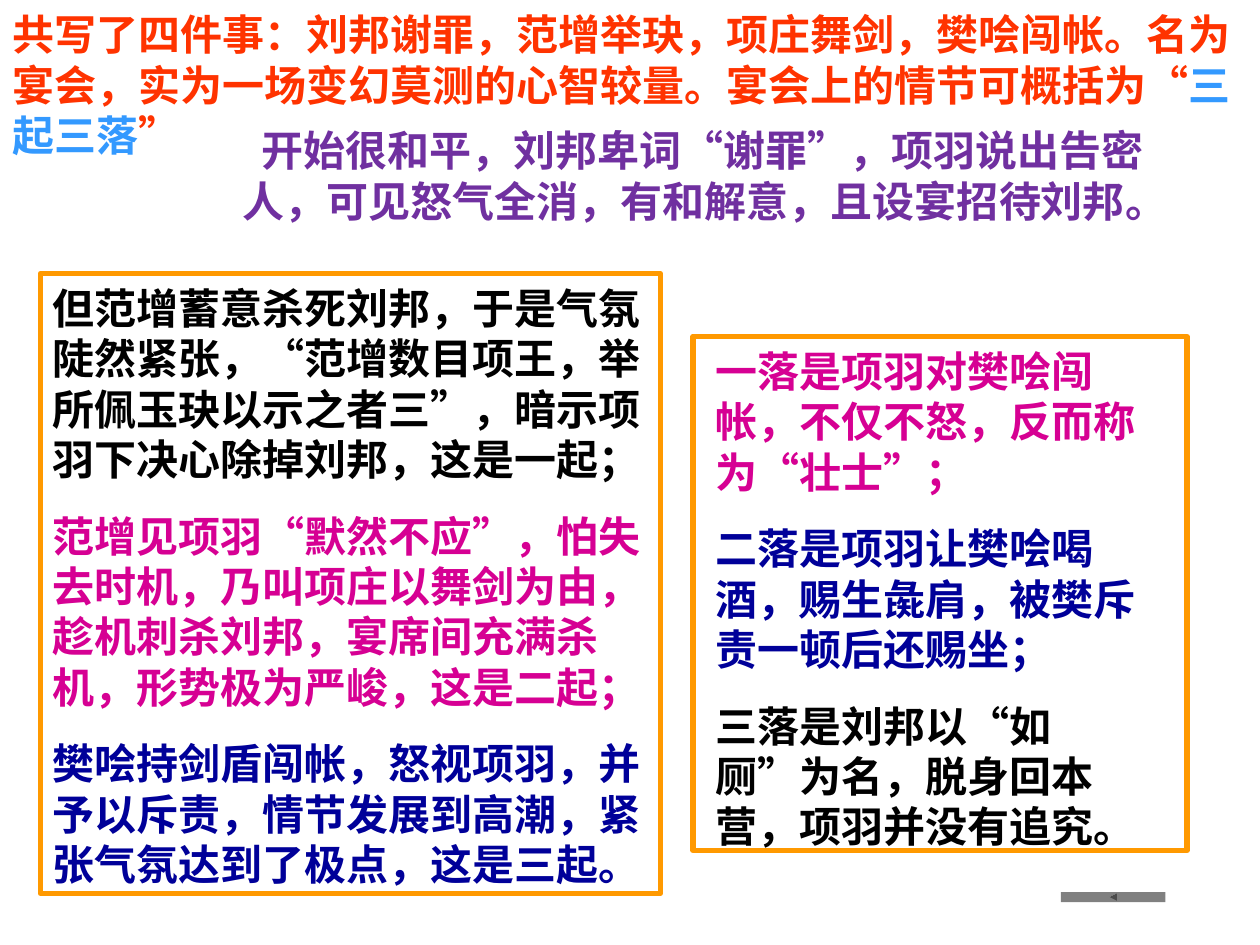
from dataclasses import dataclass
from itertools import groupby

from lxml import etree
from pptx import Presentation
from pptx import util as u
from pptx.dml.color import RGBColor
from pptx.enum import shapes, text
from pptx.oxml import ns


@dataclass(frozen=True)
class Theme:
    red: str = "FF3300"
    sky: str = "3399FF"
    purple: str = "7030A0"
    black: str = "000000"
    pink: str = "D60093"
    navy: str = "000099"
    orange: str = "FF9900"
    grey: str = "808080"
    han_font: str = "Noto Sans CJK SC"
    quote_font: str = "Times New Roman"
    size: u.Pt = u.Pt(24)
    leading: u.Pt = u.Pt(28.8)
    gap: u.Pt = u.Pt(15)
    frame: u.Pt = u.Pt(3)


THEME = Theme()
QUOTES = "“”"

SUMMARY = [[
    ("共写了四件事：刘邦谢罪，范增举玦，项庄舞剑，樊哙闯帐。名为宴会，"
     "实为一场变幻莫测的心智较量。宴会上的情节可概括为“", THEME.red),
    ("三起三落", THEME.sky),
    ("”", THEME.red),
]]
OPENING = [[("开始很和平，刘邦卑词“谢罪”，项羽说出告密人，可见怒气全消，"
             "有和解意，且设宴招待刘邦。", THEME.purple)]]
RISES = [
    [("但范增蓄意杀死刘邦，于是气氛陡然紧张，“范增数目项王，举所佩玉玦以示之者三”，"
      "暗示项羽下决心除掉刘邦，这是一起；", THEME.black)],
    [("范增见项羽“默然不应”，怕失去时机，乃叫项庄以舞剑为由，趁机刺杀刘邦，"
      "宴席间充满杀机，形势极为严峻，这是二起；", THEME.pink)],
    [("樊哙持剑盾闯帐，怒视项羽，并予以斥责，情节发展到高潮，"
      "紧张气氛达到了极点，这是三起。", THEME.navy)],
]
FALLS = [
    [("一落是项羽对樊哙闯帐，不仅不怒，反而称为“壮士”；", THEME.pink)],
    [("二落是项羽让樊哙喝酒，赐生彘肩，被樊斥责一顿后还赐坐；", THEME.navy)],
    [("三落是刘邦以“如厕”为名，脱身回本营，项羽并没有追究。", THEME.black)],
]


def inches(*values):
    return [u.Inches(value) for value in values]


def add_run(paragraph, words, colour, is_quote):
    run = paragraph.add_run()
    run.text = words
    font = run.font
    font.size, font.bold = THEME.size, True
    font.color.rgb = RGBColor.from_string(colour)
    font.name = THEME.quote_font if is_quote else THEME.han_font
    east_asian = etree.SubElement(font._element, ns.qn("a:ea"))
    east_asian.set("typeface", THEME.han_font)


def write_passage(holder, box, paragraphs, indent=0):
    """Place a text holder in its box and fill it with coloured paragraphs."""
    holder.left, holder.top, holder.width, holder.height = inches(*box)
    frame = holder.text_frame
    frame.word_wrap = True
    frame.auto_size = text.MSO_AUTO_SIZE.NONE
    frame.vertical_anchor = text.MSO_ANCHOR.TOP
    frame.margin_left = frame.margin_right = u.Inches(0.1)
    frame.margin_top, frame.margin_bottom = inches(0.07, 0.05)
    for index, parts in enumerate(paragraphs):
        paragraph = frame.add_paragraph() if index else frame.paragraphs[0]
        paragraph.alignment = text.PP_ALIGN.LEFT
        paragraph.line_spacing = THEME.leading
        paragraph.space_before = THEME.gap if index else u.Pt(0)
        paragraph.space_after = u.Pt(0)
        properties = paragraph._p.get_or_add_pPr()
        properties.set("marL", "0")
        properties.set("indent", str(u.Inches(indent)))
        properties.set("hangingPunct", "0")
        etree.SubElement(properties, ns.qn("a:buNone"))
        for words, colour in parts:
            for is_quote, chars in groupby(words, lambda char: char in QUOTES):
                add_run(paragraph, "".join(chars), colour, is_quote)


def add_frame(slide, box):
    """Outline a column with an orange border."""
    border = slide.shapes.add_shape(shapes.MSO_SHAPE.RECTANGLE, *inches(*box))
    border.shadow.inherit = False
    border.fill.background()
    border.line.color.rgb = RGBColor.from_string(THEME.orange)
    border.line.width = THEME.frame


def add_column(slide, holder, box, paragraphs, inset=0):
    """Fill a framed column with its passage."""
    left, top, width, height = box
    write_passage(holder, (left + inset, top, width - 2 * inset, height), paragraphs)
    add_frame(slide, box)


def add_back_button(slide, box):
    button = slide.shapes.add_shape(
        shapes.MSO_SHAPE.ACTION_BUTTON_BACK_OR_PREVIOUS, *inches(*box))
    button.shadow.inherit = False
    button.fill.solid()
    button.fill.fore_color.rgb = RGBColor.from_string(THEME.grey)
    button.line.fill.background()


def build_slide(deck):
    slide = deck.slides.add_slide(deck.slide_layouts.get_by_name("Two Content"))
    title, rises, falls = list(slide.placeholders)[:3]

    # Summary and peaceful opening
    write_passage(title, (0, 0, 10, 1.91), SUMMARY)
    opening = slide.shapes.add_textbox(0, 0, 0, 0)
    write_passage(opening, (1.83, 0.92, 7.92, 1.51), OPENING, indent=0.15)

    # Three rises and three falls
    add_column(slide, rises, (0.32, 2.17, 4.92, 4.92), RISES)
    add_column(slide, falls, (5.5, 2.67, 3.92, 4.08), FALLS, inset=0.08)

    # Navigation
    add_back_button(slide, (8.42, 7.08, 0.83, 0.08))


def main():
    deck = Presentation()
    deck.slide_width, deck.slide_height = inches(10, 7.5)
    build_slide(deck)
    deck.save("out.pptx")


if __name__ == "__main__":
    main()
